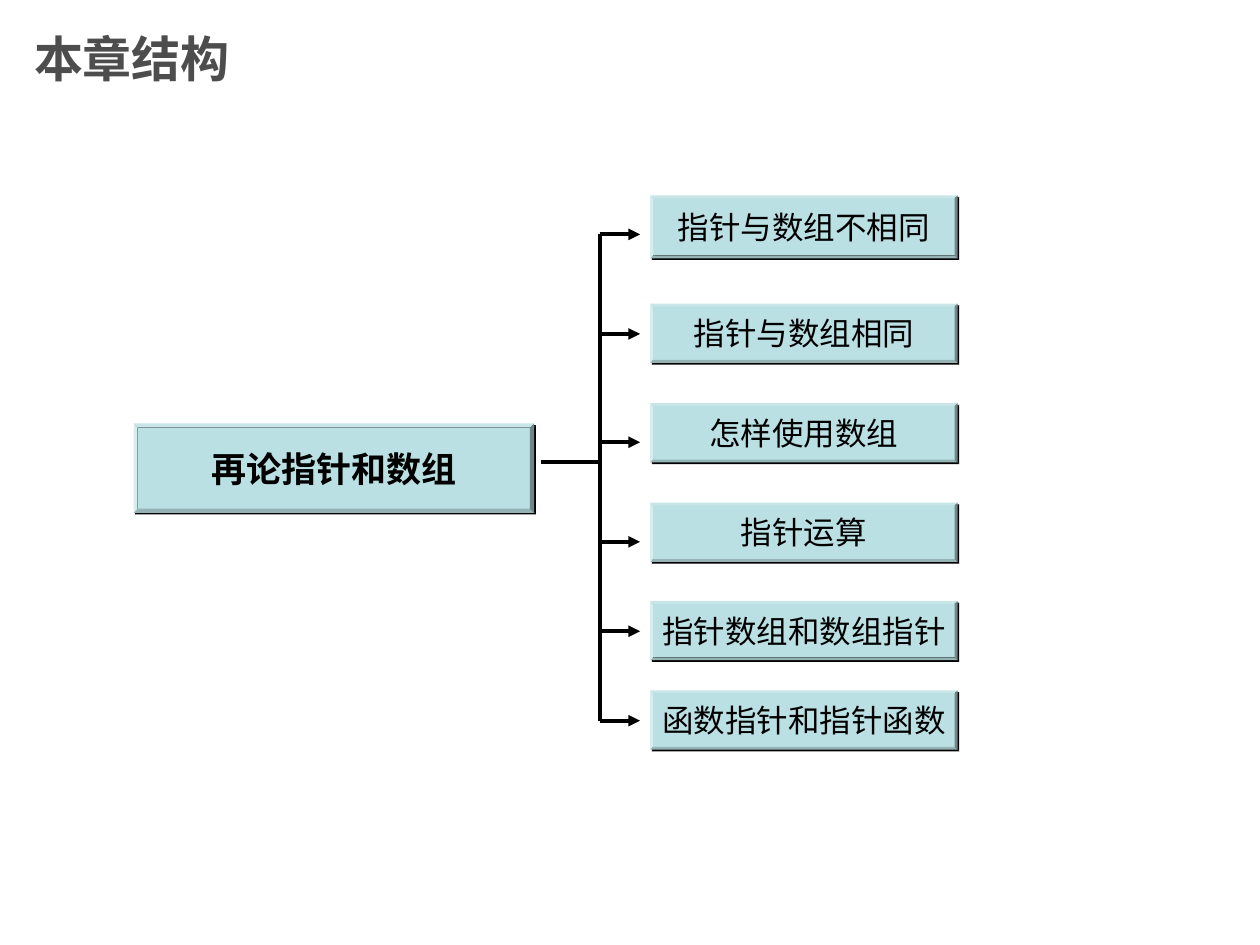
from dataclasses import dataclass

from lxml import etree
from pptx import Presentation
from pptx.dml.color import RGBColor
from pptx.enum.shapes import MSO_CONNECTOR, MSO_SHAPE
from pptx.enum.text import MSO_ANCHOR, PP_ALIGN
from pptx.oxml.ns import qn
from pptx.util import Inches, Pt

BEVEL = MSO_SHAPE.BEVEL
STRAIGHT = MSO_CONNECTOR.STRAIGHT
MIDDLE = MSO_ANCHOR.MIDDLE
CENTER, LEFT = PP_ALIGN.CENTER, PP_ALIGN.LEFT
TITLE_ONLY = 5
CELL = Inches(0.1)


@dataclass(frozen=True)
class Theme:
    title_color: str = "4D4D4D"
    fill: str = "BBE0E3"
    ink: str = "000000"
    title_font: str = "Arial"
    body_font: str = "Noto Sans CJK SC"
    title_size: int = 28
    root_size: int = 20
    topic_size: int = 18
    line_width: float = 2.25
    shadow_distance: float = 1.4


@dataclass(frozen=True)
class Box:
    column: float
    row: float
    columns: float
    rows: float

    def lengths(self):
        return [round(n * CELL) for n in (self.column, self.row, self.columns, self.rows)]


THEME = Theme()
TITLE_BOX = Box(1.7, 0, 75, 9.2)
ROOT_BOX = Box(10.6, 33.6, 31.8, 7.1)
TOPICS_BOX = Box(51.6, 15.5, 24.4, 44)
TREE_BOX = Box(42.9, 18.6, 7.9, 38.6)
TRUNK_COLUMN = 4.7
STEM_ROW = 18.1
TOPICS = [
    ("指针与数组不相同", 0, 5),
    ("指针与数组相同", 8.6, 4.7),
    ("怎样使用数组", 16.5, 4.7),
    ("指针运算", 24.4, 4.7),
    ("指针数组和数组指针", 32.2, 4.7),
    ("函数指针和指针函数", 39.3, 4.7),
]
BRANCH_ROWS = [0, 7.9, 16.5, 24.4, 31.5, 38.6]


def style_text(frame, text, font, size, color, bold, align):
    frame.text = text
    frame.vertical_anchor = MIDDLE
    para = frame.paragraphs[0]
    para.alignment = align
    span = para.runs[0]
    span.font.name = font
    span.font.size = Pt(size)
    span.font.bold = bold
    span.font.color.rgb = RGBColor.from_string(color)
    east_asian = etree.SubElement(span.font._element, qn("a:ea"))
    east_asian.set("typeface", THEME.body_font)


def add_title(page, box, text):
    title = page.shapes.title
    title.left, title.top, title.width, title.height = box.lengths()
    style_text(title.text_frame, text, THEME.title_font, THEME.title_size,
               THEME.title_color, True, LEFT)


def add_shadow(shape):
    shape.shadow.inherit = False
    effects = shape.element.spPr.find(qn("a:effectLst"))
    shadow = etree.SubElement(effects, qn("a:outerShdw"), blurRad="0",
                              dist=str(Pt(THEME.shadow_distance)),
                              dir="2700000", algn="ctr", rotWithShape="0")
    etree.SubElement(shadow, qn("a:srgbClr"), val=THEME.ink)


def add_node(page, box, text, size, bold=False):
    node = page.shapes.add_shape(BEVEL, *box.lengths())
    node.adjustments[0] = 0.047
    node.fill.solid()
    node.fill.fore_color.rgb = RGBColor.from_string(THEME.fill)
    node.line.fill.background()
    add_shadow(node)
    node.text_frame.word_wrap = False
    style_text(node.text_frame, text, THEME.body_font, size, THEME.ink, bold, CENTER)


def add_topics(page, box, topics):
    for text, row, rows in topics:
        add_node(page, Box(box.column, box.row + row, box.columns, rows),
                 text, THEME.topic_size)


def add_line(page, start, end, arrow=False):
    ends = [round(n * CELL) for n in (*start, *end)]
    line = page.shapes.add_connector(STRAIGHT, *ends)
    line.line.color.rgb = RGBColor.from_string(THEME.ink)
    line.line.width = Pt(THEME.line_width)
    properties = line.element.spPr
    if arrow:
        etree.SubElement(properties.find(qn("a:ln")), qn("a:tailEnd"), type="triangle")
    etree.SubElement(properties, qn("a:effectLst"))


def add_tree(page, box, branch_rows):
    trunk = box.column + TRUNK_COLUMN
    stem = box.row + STEM_ROW
    add_line(page, (trunk, box.row), (trunk, box.row + box.rows))
    add_line(page, (box.column, stem), (trunk, stem))
    for row in branch_rows:
        level = box.row + row
        add_line(page, (trunk, level), (box.column + box.columns, level), arrow=True)


def main():
    deck = Presentation()
    deck.slide_width, deck.slide_height = 100 * CELL, 75 * CELL
    page = deck.slides.add_slide(deck.slide_layouts[TITLE_ONLY])
    add_title(page, TITLE_BOX, "本章结构")
    add_node(page, ROOT_BOX, "再论指针和数组", THEME.root_size, bold=True)
    add_topics(page, TOPICS_BOX, TOPICS)
    add_tree(page, TREE_BOX, BRANCH_ROWS)
    deck.save("out.pptx")


if __name__ == "__main__":
    main()
